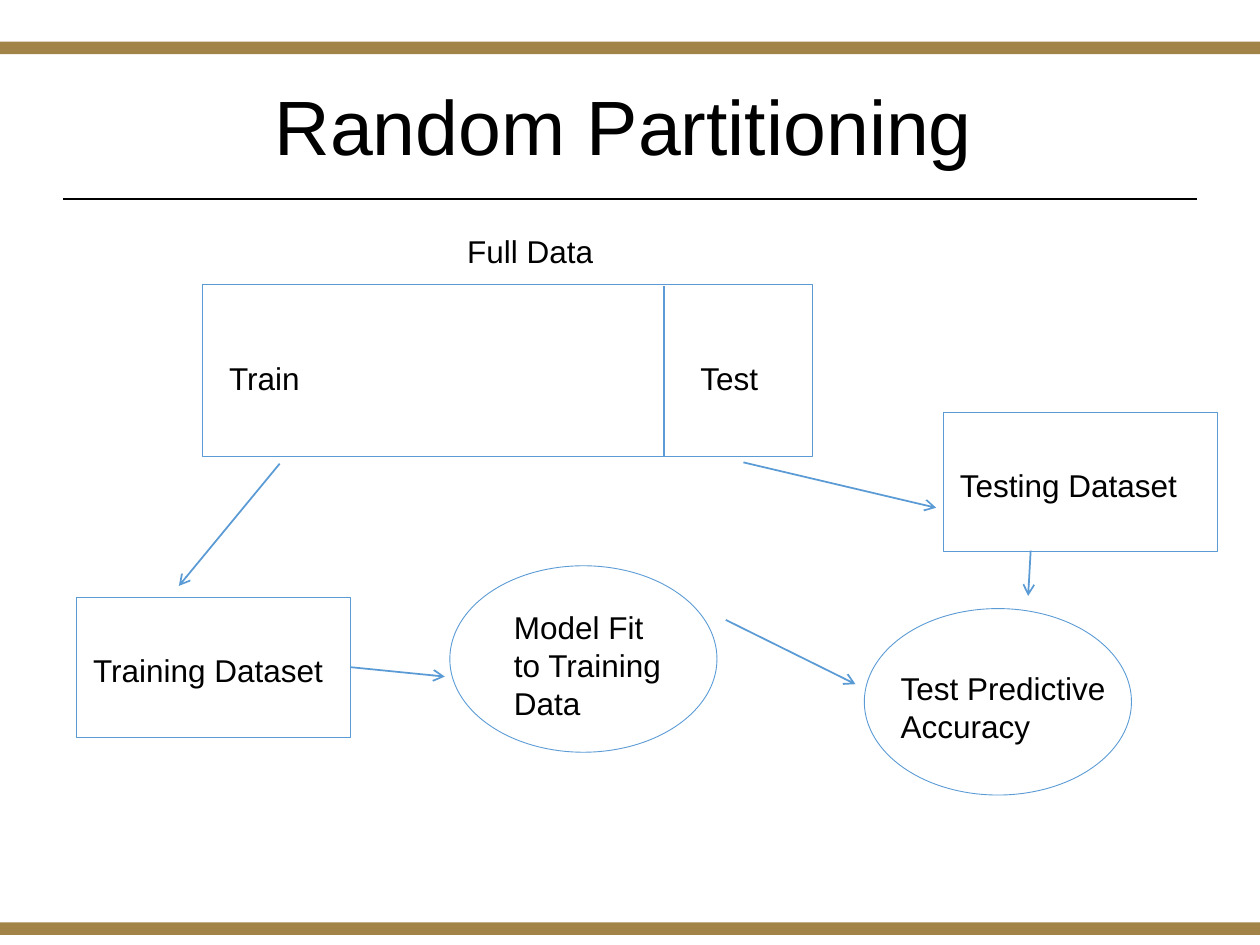
"""Build the Random Partitioning slide: a train/test data split and its model flow."""
from pptx import Presentation
from pptx.dml.color import RGBColor
from pptx.enum.shapes import MSO_CONNECTOR, MSO_SHAPE
from pptx.enum.text import MSO_ANCHOR, MSO_AUTO_SIZE, PP_ALIGN
from pptx.oxml.ns import qn
from pptx.util import Inches, Pt
from lxml import etree

RECT, OVAL = MSO_SHAPE.RECTANGLE, MSO_SHAPE.OVAL
LINE = MSO_CONNECTOR.STRAIGHT
MID, TOP = MSO_ANCHOR.MIDDLE, MSO_ANCHOR.TOP
GROW, FIXED = MSO_AUTO_SIZE.SHAPE_TO_FIT_TEXT, MSO_AUTO_SIZE.NONE
LEFT, MIDDLE = PP_ALIGN.LEFT, PP_ALIGN.CENTER

WIDE, HIGH = 10, 7.5
COLORS = {"gold": "A28448", "blue": "5B9BD5", "ink": "000000"}
TITLE = ("Random Partitioning", (0.64, 0.31, 8.62, 1.45))
BARS = [0.33, 7.32]
FULL = (1.61, 2.26, 4.84, 1.36)
OVALS = [(3.57, 4.49), (6.86, 4.83)]
OVAL_SIZE = (2.12, 1.48)
SETS = [
    ("Training Dataset", 0.61, 4.74, 2.04),
    ("Testing Dataset", 7.49, 3.27, 1.94),
]
SET_SIZE = (2.17, 1.11)
LABELS = [
    (["Full Data"], (3.61, 1.79, 1.21, 0.4), False),
    (["Model Fit to Training Data"], (3.98, 4.78, 1.39, 1.01), True),
    (["Test Predictive", "Accuracy"], (7.05, 5.26, 1.84, 0.71), False),
    (["Test"], (5.46, 2.8, 0.75, 0.4), True),
    (["Train"], (1.72, 2.8, 1.06, 0.4), True),
]
ARROWS = [
    (2.22, 3.68, 1.42, 4.65),
    (5.9, 3.67, 7.43, 4.03),
    (5.76, 4.92, 6.79, 5.43),
    (8.18, 4.37, 8.16, 4.73),
]
FIT = (2.78, 5.3, 3.53, 5.37)
SPLIT = (5.27, 2.27, 5.27, 3.63)
RULE = (0.5, 1.58, 9.5, 1.58)
LABEL = {"auto_size": GROW, "vertical_anchor": TOP}
HEAD = {"auto_size": FIXED, "vertical_anchor": MID, "word_wrap": True}


def rgb(name):
    return RGBColor.from_string(COLORS[name])


def inch(box):
    return [Inches(n) for n in box]


def put(item, style):
    for key, val in style.items():
        setattr(item, key, val)


def write(frame, lines, style, size=18, para=None):
    put(frame, style)
    frame.text = "\n".join(lines)
    for p in frame.paragraphs:
        put(p, para or {"alignment": LEFT})
        for run in p.runs:
            put(run.font, {"size": Pt(size), "name": "Arial"})
            run.font.color.rgb = rgb("ink")


def shape(home, kind, box, fill=None):
    item = home.add_shape(kind, *inch(box))
    item.shadow.inherit = False
    if fill:
        item.fill.solid()
        item.fill.fore_color.rgb = rgb(fill)
        item.line.fill.background()
    else:
        item.fill.background()
        item.line.color.rgb = rgb("blue")
        item.line.width = Pt(0.5)
    return item


def label(home, lines, box, wrap):
    item = home.add_textbox(*inch(box))
    write(item.text_frame, lines, {**LABEL, "word_wrap": wrap})


def link(home, ends, color="blue", width=1, arrow=True):
    item = home.add_connector(LINE, *inch(ends))
    item.line.color.rgb = rgb(color)
    item.line.width = Pt(width)
    if arrow:
        etree.SubElement(item.line._get_or_add_ln(), qn("a:tailEnd"), type="arrow")
    etree.SubElement(item._element.spPr, qn("a:effectLst"))
    return item


def dataset(home, name, x, y, width):
    group = home.add_group_shape().shapes
    box = shape(group, RECT, (x, y, *SET_SIZE))
    label(group, [name], (x + 0.03, y + 0.38, width, 0.4), False)
    return box


def main():
    deck = Presentation()
    put(deck, {"slide_width": Inches(WIDE), "slide_height": Inches(HIGH)})
    slide = deck.slides.add_slide(deck.slide_layouts[5])
    home = slide.shapes
    text, box = TITLE
    put(home.title, dict(zip(("left", "top", "width", "height"), inch(box))))
    write(home.title.text_frame, [text], HEAD, 44,
          {"alignment": MIDDLE, "line_spacing": 0.9})
    for y in BARS:
        shape(home, RECT, (0, y, WIDE, 0.1), "gold")
    link(home, RULE, "ink", 1.25, False)
    shape(home, RECT, FULL)
    for spot in OVALS:
        shape(home, OVAL, (*spot, *OVAL_SIZE))
    train, test = [dataset(home, *row) for row in SETS]
    link(home, FIT).begin_connect(train, 3)
    for ends in ARROWS:
        link(home, ends)
    link(home, SPLIT, arrow=False)
    for row in LABELS:
        label(home, *row)
    deck.save("out.pptx")


if __name__ == "__main__":
    main()
